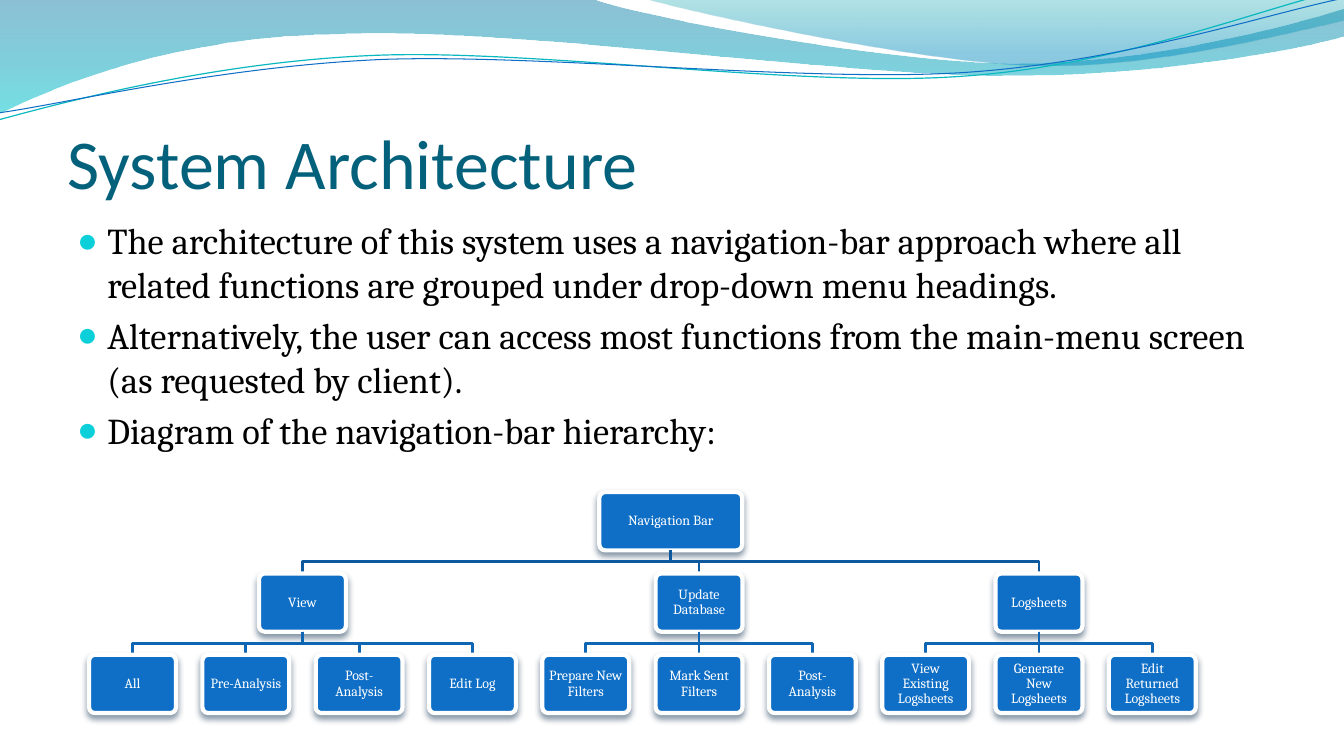
import pptx
import pptx.util
import pptx.oxml
import pptx.oxml.ns
from pptx.dml.color import RGBColor
from pptx.enum.shapes import MSO_SHAPE
from pptx.enum.text import MSO_ANCHOR, MSO_AUTO_SIZE, PP_ALIGN
from lxml import etree

Cm, Pt, qn = pptx.util.Cm, pptx.util.Pt, pptx.oxml.ns.qn

TITLE = "System Architecture"
POINTS = [
    "The architecture of this system uses a navigation-bar approach where all "
    "related functions are grouped under drop-down menu headings.",
    "Alternatively, the user can access most functions from the main-menu "
    "screen (as requested by client).",
    "Diagram of the navigation-bar hierarchy:",
]
TREE = ("Navigation Bar", [
    ("View", ["All", "Pre-Analysis", "Post-Analysis", "Edit Log"]),
    ("Update Database", ["Prepare New Filters", "Mark Sent Filters", "Post-Analysis"]),
    ("Logsheets", ["View Existing Logsheets", "Generate New Logsheets",
                   "Edit Returned Logsheets"]),
])
HUE = {
    "title": "04617B", "text": "000000", "bullet": "0BD0D9", "box": "0F6FC6",
    "white": "FFFFFF", "shade": "042747", "link0": "0C599F", "link1": "0E65B4",
    "teal": "0AB8BF", "deep": "0074A1", "aqua": "00C6CF", "sea": "00A1A9",
    "sky": "008BBF",
}
BANDS = [
    ([(0, "deep", 45), (1, "aqua", 55)], (0, 0), [
        (14.91, -0.03),
        (16.1, 0.43, 22.48, 1.6, 25.68, 1.6),
        (28.91, 1.6, 32.46, 0.66, 33.86, 0.23),
        (33.91, 0.91),
        (33.3, 1.12, 29.46, 1.93, 25.25, 1.91),
        (21.06, 1.91, 12.93, 0.71, 8.71, 0.86),
        (4.37, 0.91, 1.55, 2.11, -0.03, 2.87),
        (0, 0)]),
    ([(0, "sea", 30), (0.8, "sky", 45)], (16.23, -0.03), [
        (17.25, 0.28, 23.09, 1.57, 26.04, 1.65),
        (28.98, 1.75, 32.56, 0.81, 33.86, 0.53),
        (33.86, 0),
        (16.23, -0.03)]),
]
WAVES = [
    ("teal", 0.85, (-0.03, 3.02), [
        (1.63, 2.57, 5.36, 1.57, 9.37, 1.4),
        (13.39, 1.22, 20.07, 2.21, 24.13, 1.93),
        (28.19, 1.68, 31.8, 0.2, 33.81, -0.25)]),
    ("box", 0.75, (0, 2.84), [
        (1.6, 2.62, 5.54, 1.68, 9.6, 1.5),
        (13.64, 1.35, 20.22, 2.08, 24.26, 1.83),
        (28.32, 1.57, 31.88, 0.36, 33.88, -0.05)]),
]
STEPS = 24
LEFT, PITCH = 3.34, 25.7 / 9
TOP, DROP = 12.4, 2.05
TALL, WIDE, HEAD = 1.47, 2.19, 3.6


def color(name):
    return RGBColor.from_string(HUE[name])


def trace(start, parts):
    dots = [start]
    for part in parts:
        if len(part) == 2:
            dots.append(part)
            continue
        nodes = [dots[-1], part[:2], part[2:4], part[4:]]
        for step in range(1, STEPS + 1):
            t = step / STEPS
            mix = ((1 - t) ** 3, 3 * t * (1 - t) ** 2, 3 * t * t * (1 - t), t ** 3)
            dots.append(tuple(sum(m * n[i] for m, n in zip(mix, nodes))
                              for i in (0, 1)))
    return dots


def outline(start, parts, close=False, pad=0):
    x, y = start
    dots = [(x - pad, y), (x + pad, y)] + trace(start, parts)
    ends = [(Cm(a), Cm(b)) for a, b in dots]
    pen = slide.shapes.build_freeform(*ends[0])
    pen.add_line_segments(ends[1:], close=False)
    shape = pen.convert_to_shape()
    shape.shadow.inherit = False
    curve = next(shape._element.spPr.iter(qn("a:path")))
    for old in list(curve):
        curve.remove(old)
    tags = {2: "a:lnTo", 6: "a:cubicBezTo"}
    for tag, part in [("a:moveTo", start)] + [(tags[len(p)], p) for p in parts]:
        move = etree.SubElement(curve, qn(tag))
        for a, b in zip(part[::2], part[1::2]):
            etree.SubElement(move, qn("a:pt"), x=str(Cm(a) - shape.left),
                             y=str(Cm(b) - shape.top))
    if close:
        etree.SubElement(curve, qn("a:close"))
    return shape


def stroke(line, name, width):
    line.color.rgb = color(name)
    line.width = Pt(width)


def thread(name, width, start, parts, pad=0):
    shape = outline(start, parts, pad=pad)
    shape.fill.background()
    stroke(shape.line, name, width)


def band(stops, start, parts):
    shape = outline(start, parts, close=True)
    shape.line.fill.background()
    shape.fill.gradient()
    shape.fill.gradient_angle = 270
    for stop, (place, name, alpha) in zip(shape.fill.gradient_stops, stops):
        stop.position = place
        stop.color.rgb = color(name)
    tints = shape._element.spPr.iter(qn("a:srgbClr"))
    for tint, (place, name, alpha) in zip(tints, stops):
        etree.SubElement(tint, qn("a:alpha"), val=str(alpha * 1000))


def style(para, face, size, name, align):
    para.font.name = face
    para.font.size = Pt(size)
    para.font.color.rgb = color(name)
    para.alignment = align


def bullet(para):
    props = para._p.get_or_add_pPr()
    props.set("marL", str(Cm(0.76)))
    props.set("indent", str(Cm(-0.76)))
    tint = etree.SubElement(props, qn("a:buClr"))
    etree.SubElement(tint, qn("a:srgbClr"), val=HUE["bullet"])
    etree.SubElement(props, qn("a:buSzPct"), val="95000")
    etree.SubElement(props, qn("a:buChar"), char="●")


def cast(shape):
    shape.shadow.inherit = False
    glow = etree.SubElement(
        shape._element.spPr.find(qn("a:effectLst")), qn("a:outerShdw"),
        blurRad=str(Pt(4.5)), dist=str(Pt(3)), dir="5400000", rotWithShape="0")
    tint = etree.SubElement(glow, qn("a:srgbClr"), val=HUE["shade"])
    etree.SubElement(tint, qn("a:alpha"), val="48000")


def box(label, mid, level):
    wide = WIDE if level else HEAD
    shape = slide.shapes.add_shape(
        MSO_SHAPE.ROUNDED_RECTANGLE, Cm(mid - wide / 2), Cm(TOP + level * DROP),
        Cm(wide), Cm(TALL))
    shape.adjustments[0] = 0.1
    shape.fill.solid()
    shape.fill.fore_color.rgb = color("box")
    stroke(shape.line, "white", 3)
    cast(shape)
    frame = shape.text_frame
    frame.word_wrap = True
    frame.vertical_anchor = MSO_ANCHOR.MIDDLE
    frame.margin_left = frame.margin_right = Cm(0.11)
    frame.margin_top = frame.margin_bottom = Cm(0.1)
    frame.text = label
    para = frame.paragraphs[0]
    style(para, "Cambria", 10, "white", PP_ALIGN.CENTER)
    para.line_spacing = 0.9


def link(start, end, level):
    low = TOP + level * DROP + TALL
    high = TOP + (level + 1) * DROP
    bend = (low + high) / 2
    plumb = abs(start - end) < 0.01
    turns = [] if plumb else [(start, bend), (end, bend)]
    thread(f"link{level}", 2, (start, low), turns + [(end, high)],
           0.13 if plumb else 0)


def place(node, slots):
    if isinstance(node, str):
        return node, LEFT + next(slots) * PITCH, []
    kids = [place(kid, slots) for kid in node[1]]
    return node[0], (kids[0][1] + kids[-1][1]) / 2, kids


def draw(node, level=0):
    label, mid, kids = node
    box(label, mid, level)
    for kid in kids:
        link(mid, kid[1], level)
        draw(kid, level + 1)


def settle(holder, left, top, wide, tall):
    holder.left, holder.top = Cm(left), Cm(top)
    holder.width, holder.height = Cm(wide), Cm(tall)
    frame = holder.text_frame
    frame.word_wrap = True
    frame.auto_size = MSO_AUTO_SIZE.NONE
    return frame


deck = pptx.Presentation()
deck.slide_width, deck.slide_height = Cm(33.87), Cm(19.05)
slide = deck.slides.add_slide(deck.slide_layouts[1])

for item in BANDS:
    band(*item)
for item in WAVES:
    thread(*item)

head = settle(slide.shapes.title, 1.7, 1.95, 30.48, 3.18)
head.margin_left = head.margin_right = head.margin_bottom = 0
head.vertical_anchor = MSO_ANCHOR.BOTTOM
head.text = TITLE
style(head.paragraphs[0], "Calibri", 50, "title", PP_ALIGN.LEFT)

body = settle(slide.placeholders[1], 1.69, 5.38, 30.48, 12.2)
body.text = "\n".join(POINTS)
for para in body.paragraphs:
    style(para, "Cambria", 26, "text", PP_ALIGN.LEFT)
    bullet(para)

draw(place(TREE, iter(range(10))))
deck.save("out.pptx")
